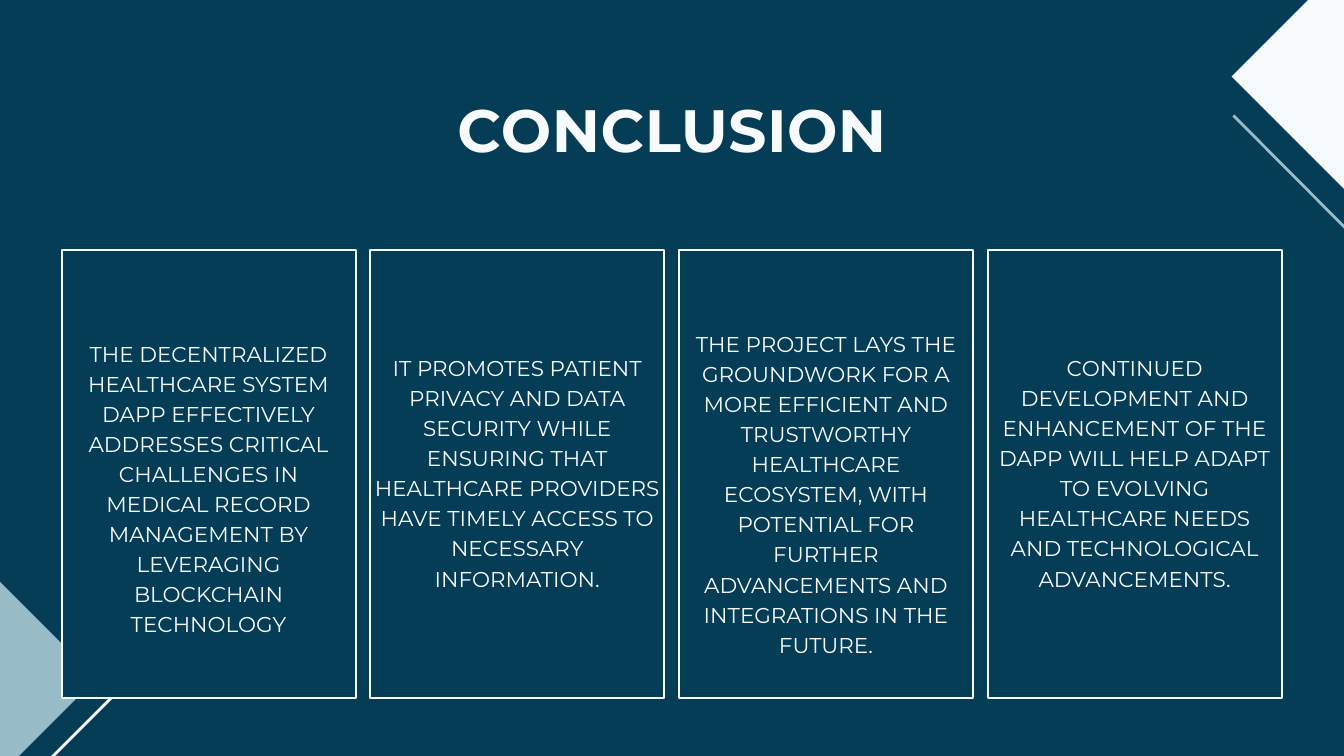
"""Build the conclusion slide: a title over four outlined text cards."""
from dataclasses import dataclass

from lxml import etree
from pptx import Presentation
from pptx.dml.color import RGBColor
from pptx.enum.shapes import MSO_CONNECTOR, MSO_SHAPE
from pptx.enum.text import MSO_ANCHOR, PP_ALIGN
from pptx.oxml.ns import qn
from pptx.util import Emu, Pt

RECTANGLE = MSO_SHAPE.RECTANGLE
STRAIGHT = MSO_CONNECTOR.STRAIGHT
CENTER = PP_ALIGN.CENTER
MIDDLE = MSO_ANCHOR.MIDDLE


@dataclass(frozen=True)
class Theme:
    navy: RGBColor = RGBColor.from_string("053D57")
    mist: RGBColor = RGBColor.from_string("97BCC7")
    white: RGBColor = RGBColor.from_string("F8FBFD")
    font: str = "Montserrat"
    title_size: float = 64
    title_leading: float = 76.8
    title_tracking: float = 0.6
    body_size: float = 23
    body_leading: float = 32.2
    card_line: float = 2.25
    accent_line: float = 3


THEME = Theme()
TITLE = "CONCLUSION"
CARDS = [
    ("THE DECENTRALIZED HEALTHCARE SYSTEM DAPP EFFECTIVELY ADDRESSES CRITICAL "
     "CHALLENGES IN MEDICAL RECORD MANAGEMENT BY LEVERAGING BLOCKCHAIN TECHNOLOGY", 18),
    ("IT PROMOTES PATIENT PRIVACY AND DATA SECURITY WHILE ENSURING THAT "
     "HEALTHCARE PROVIDERS HAVE TIMELY ACCESS TO NECESSARY INFORMATION.", -4),
    ("THE PROJECT LAYS THE GROUNDWORK FOR A MORE EFFICIENT AND TRUSTWORTHY "
     "HEALTHCARE ECOSYSTEM, WITH POTENTIAL FOR FURTHER ADVANCEMENTS AND "
     "INTEGRATIONS IN THE FUTURE.", 26),
    ("CONTINUED DEVELOPMENT AND ENHANCEMENT OF THE DAPP WILL HELP ADAPT TO "
     "EVOLVING HEALTHCARE NEEDS AND TECHNOLOGICAL ADVANCEMENTS.", -4),
]
DIAMONDS = [
    ((-147, 851, 236, 236), THEME.mist),
    ((1812, 3, 204, 233), THEME.white),
]
ACCENTS = [
    ((184, 972, 22, 1134), THEME.white),
    ((1762, 165, 1958, 362), THEME.mist),
]
SLIDE_SIZE = (1920, 1080)
TITLE_BOX = (210, 133, 1500, 101)
CARD_LEFT, CARD_TOP, CARD_WIDTH, CARD_HEIGHT = 88, 357, 420, 640
CARD_GAP = 21
CARD_INSET = 6


def px(*lengths):
    return [Emu(length * 9525) for length in lengths]


def add_rectangle(page, frame, fill):
    shape = page.shapes.add_shape(RECTANGLE, *px(*frame))
    shape.shadow.inherit = False
    shape.fill.solid()
    shape.fill.fore_color.rgb = fill
    shape.line.fill.background()
    return shape


def add_accent(page, ends, color):
    line = page.shapes.add_connector(STRAIGHT, *px(*ends))
    line.line.color.rgb = color
    line.line.width = Pt(THEME.accent_line)
    etree.SubElement(line._element.spPr, qn("a:effectLst"))


def write(shape, text, size, leading, insets, bold=False):
    frame = shape.text_frame
    frame.word_wrap = True
    (frame.margin_left, frame.margin_top,
     frame.margin_right, frame.margin_bottom) = px(*insets)
    para = frame.paragraphs[0]
    para.alignment = CENTER
    para.line_spacing = Pt(leading)
    para.font.name = THEME.font
    para.font.size = Pt(size)
    para.font.bold = bold
    para.font.color.rgb = THEME.white
    span = para.add_run()
    span.text = text
    return span


def add_title(page):
    box = page.shapes.add_textbox(*px(*TITLE_BOX))
    span = write(box, TITLE, THEME.title_size, THEME.title_leading, (0, 0, 0, 0), bold=True)
    span._r.get_or_add_rPr().set("spc", str(round(THEME.title_tracking * 100)))


def add_card(page, index, text, shift):
    left = CARD_LEFT + index * (CARD_WIDTH + CARD_GAP)
    card = add_rectangle(page, (left, CARD_TOP, CARD_WIDTH, CARD_HEIGHT), THEME.navy)
    card.line.color.rgb = THEME.white
    card.line.width = Pt(THEME.card_line)
    card.text_frame.vertical_anchor = MIDDLE
    top = CARD_INSET + 2 * max(shift, 0)
    bottom = CARD_INSET + 2 * max(-shift, 0)
    write(card, text, THEME.body_size, THEME.body_leading,
          (CARD_INSET, top, CARD_INSET, bottom))


def main():
    deck = Presentation()
    deck.slide_width, deck.slide_height = px(*SLIDE_SIZE)
    page = deck.slides.add_slide(deck.slide_layouts[6])
    page.background.fill.solid()
    page.background.fill.fore_color.rgb = THEME.navy
    for frame, color in DIAMONDS:
        add_rectangle(page, frame, color).rotation = 315
    for ends, color in ACCENTS:
        add_accent(page, ends, color)
    add_title(page)
    for index, (text, shift) in enumerate(CARDS):
        add_card(page, index, text, shift)
    deck.save("out.pptx")


if __name__ == "__main__":
    main()
